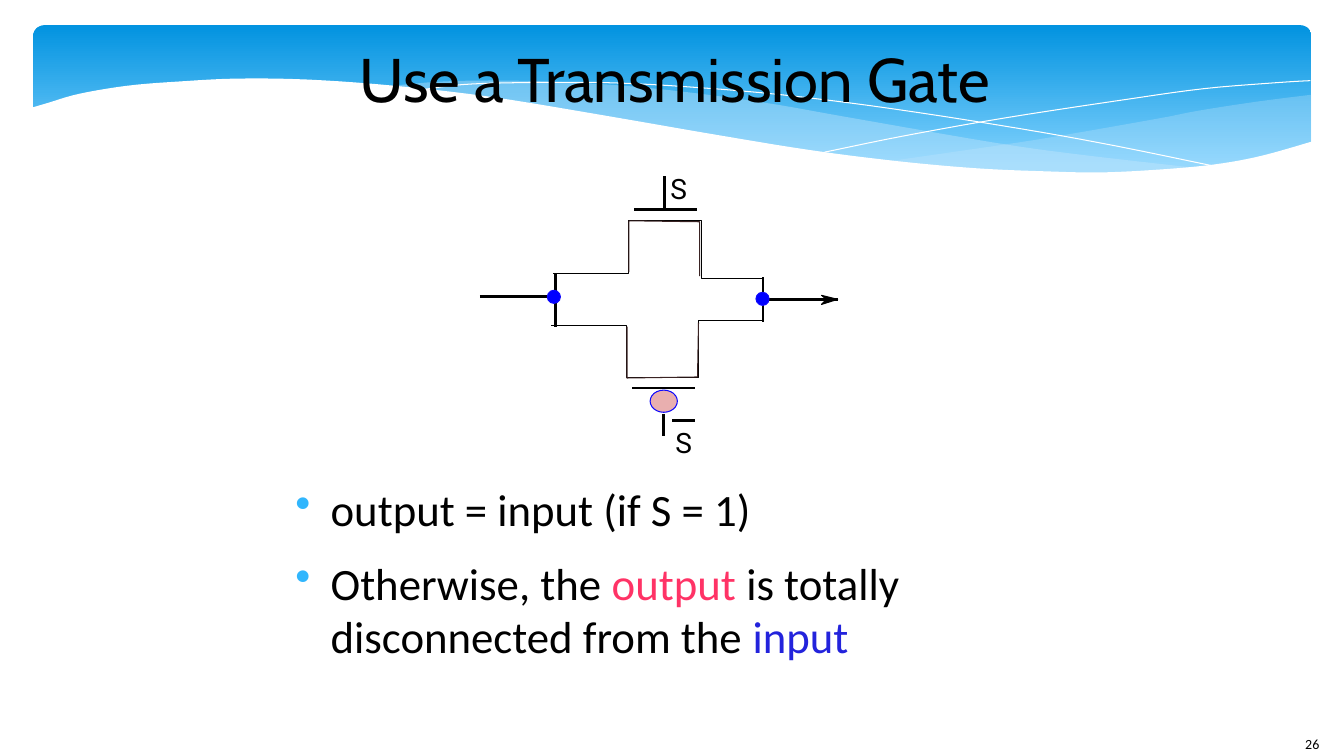
"""Build the transmission gate slide: a wave banner, a circuit and two bullets."""
from dataclasses import dataclass

from lxml import etree
from pptx import Presentation
from pptx.dml.color import RGBColor
from pptx.enum.shapes import MSO_CONNECTOR, MSO_SHAPE
from pptx.enum.text import MSO_ANCHOR, PP_ALIGN
from pptx.oxml.ns import qn
from pptx.util import Emu, Inches, Pt

STRAIGHT = MSO_CONNECTOR.STRAIGHT
OVAL, ROUNDED = MSO_SHAPE.OVAL, MSO_SHAPE.ROUNDED_RECTANGLE
CENTER, MIDDLE = PP_ALIGN.CENTER, MSO_ANCHOR.MIDDLE
TITLE_ONLY = 5
CELL = Inches(0.1)
COLUMNS, ROWS = 133.33, 75
STEPS = 5

COLORS = {
    "black": "000000", "white": "FFFFFF", "sky": "0293E0", "pale sky": "83D3FE",
    "mist": "C6E7FC", "dot": "0000FF", "outline": "0E08FD", "bubble": "E9AFAF",
    "channel": "3A2323", "bullet": "31B6FD", "output": "FF3366", "input": "2323DC",
}
FORMATS = {
    "title": {"name": "Cabin", "size": Pt(44), "bold": False},
    "body": {"name": "Calibri", "size": Pt(32)},
    "number": {"name": "Calibri", "size": Pt(10)},
    "signal": {"name": "Roboto", "size": Pt(20)},
}
NO_MARGINS = {"margin_left": 0, "margin_top": 0, "margin_right": 0, "margin_bottom": 0}

Points = list[tuple[float, float]]


@dataclass
class Outline:
    """An open or closed run of grid points."""
    points: Points
    fill: str | None = None
    line: str | None = None
    alpha: int = 100


@dataclass
class Dot:
    """An oval on the grid."""
    box: tuple[float, float, float, float]
    fill: str


@dataclass
class Label:
    """One line of text on the grid."""
    box: tuple[float, float, float, float]
    text: str
    style: str
    margins: dict


def smooth(knots: Points) -> Points:
    """Return a Catmull-Rom curve through the knots."""
    ends = [knots[0], *knots, knots[-1]]
    curve = [knots[0]]
    for a, b, c, d in zip(ends, ends[1:], ends[2:], ends[3:]):
        for step in range(1, STEPS + 1):
            t = step / STEPS
            curve.append(tuple(
                (2 * q + (r - p) * t + (2 * p - 5 * q + 4 * r - s) * t ** 2
                 + (3 * q - p - 3 * r + s) * t ** 3) / 2
                for p, q, r, s in zip(a, b, c, d)))
    return curve


WAVES = [
    Outline(smooth([(130.1, 9.4), (124.6, 10.1), (118.8, 11), (114.7, 11.8), (103.8, 13.7),
                    (97.2, 14.7), (88.2, 16)])
            + smooth([(88.2, 16), (95.8, 16.7), (102.5, 17.1), (108.5, 17.2), (113.8, 17),
                      (118.6, 16.6), (122.8, 16), (126.6, 15.2), (130.1, 14.2)]),
            fill="mist", alpha=29),
    Outline(smooth([(119, 16.7), (107.6, 15.4), (98.9, 14.2), (83.9, 11.6), (75.9, 10.2),
                    (66.9, 9), (58.9, 8.3), (50.6, 8), (43.7, 8.1), (38.2, 8.6)])
            + smooth([(38.2, 8.6), (45.6, 9.4), (53.9, 10.6), (65.4, 12.6), (75.5, 14.3),
                      (84.6, 15.6), (92.6, 16.5), (99.8, 17), (107.6, 17.3), (113.1, 17.2),
                      (119, 16.7)]),
            fill="mist", alpha=40),
    Outline(smooth([(41.2, 9), (45.8, 8.4), (51.6, 8.2), (60, 8.2), (68, 8.6), (77.5, 9.4),
                    (88.6, 10.8), (101.4, 12.8), (110.8, 14.5), (121, 16.6)]), line="white"),
    Outline(smooth([(81.8, 15.1), (89.6, 13.5), (99.7, 11.7), (111.5, 9.9), (119.4, 8.8),
                    (126.7, 8.2), (130, 8)]), line="white"),
    Outline(smooth([(3.1, 10.7), (4.8, 10.2), (7.9, 9.3), (12.7, 8.5), (17.6, 8.1),
                    (23.5, 7.8), (30.6, 7.9), (39, 8.5), (48.6, 9.6), (59.6, 11.4),
                    (70.6, 13.3), (80.4, 14.9), (89.1, 16), (96.9, 16.7), (103.7, 17),
                    (109.7, 17.1), (116.7, 16.7), (121.3, 16.2), (125.4, 15.4),
                    (130.3, 14)]) + [(130.3, 22.4), (3.1, 22.4)], fill="white"),
]
TRANSISTORS = [
    Outline([(75.6, 27.6), (69.6, 27.6), (69.6, 21.9), (62.4, 21.9), (62.4, 27.1),
             (54.9, 27.1)], line="black"),
    Outline([(75.8, 31.8), (69.3, 31.8), (69.3, 37.5), (62.2, 37.5), (62.2, 32.3),
             (54.7, 32.3)], line="black"),
    Outline([(82, 29.7), (81.5, 30.2), (83.1, 29.7), (81.5, 29.3)],
            fill="black", line="black"),
]
CHANNELS = [
    Outline([(62.4, 27), (62.4, 21.9), (69.4, 22), (69.4, 27.4)], line="channel"),
    Outline([(62.2, 32.4), (62.2, 37.5), (69.2, 37.4), (69.3, 32)], line="channel"),
]
WIRES = [
    ((75.7, 27.5), (75.7, 31.9)), ((75.8, 29.7), (83.1, 29.7)),
    ((55.1, 27.1), (55.1, 32.4)), ((69.1, 20.8), (62.9, 20.8)),
    ((68.9, 38.5), (62.7, 38.5)), ((65.9, 20.6), (65.9, 17.5)),
    ((65.8, 41.1), (65.8, 43.3)), ((66.7, 41.7), (68.9, 41.7)),
    ((47.6, 29.4), (54.9, 29.4)),
]
DOTS = [
    Dot((64.5, 38.7, 2.7, 2.2), "bubble"),
    Dot((54.3, 28.8, 1.3, 1.3), "dot"),
    Dot((75, 29, 1.3, 1.3), "dot"),
]
LABELS = [
    Label((66.5, 17, 1.3, 3.4), "S", "signal", NO_MARGINS),
    Label((67, 42.2, 1.3, 3.4), "S", "signal", NO_MARGINS),
    Label((128.5, 72.5, 4.8, 2.5), "26", "number", {}),
]
BULLETS = [
    [("output = input (if S = 1)", "black")],
    [("Otherwise, the ", "black"), ("output", "output"),
     (" is totally disconnected from the ", "black"), ("input", "input")],
]


def grid(*cells: float) -> list[Emu]:
    """Turn grid cells into lengths."""
    return [Emu(round(cell * CELL)) for cell in cells]


def color(name: str) -> RGBColor:
    """Look up a colour."""
    return RGBColor.from_string(COLORS[name])


def apply(target, values: dict) -> None:
    """Set each named attribute."""
    for name, value in values.items():
        setattr(target, name, value)


def add_span(para, text: str, style: str, ink: str = "black") -> None:
    """Add a formatted run."""
    span = para.add_run()
    span.text = text
    apply(span.font, FORMATS[style])
    span.font.color.rgb = color(ink)


def paint(shape, fill: str | None, line: str | None) -> None:
    """Give a shape its fill and hairline."""
    shape.shadow.inherit = False
    if fill:
        shape.fill.solid()
        shape.fill.fore_color.rgb = color(fill)
    else:
        shape.fill.background()
    if line:
        shape.line.color.rgb = color(line)
        shape.line.width = 0
    else:
        shape.line.fill.background()


def draw_banner(page) -> None:
    """Draw the gradient panel behind the title."""
    panel = page.shapes.add_shape(ROUNDED, *grid(3.3, 2.5, 126.8, 15.6))
    paint(panel, None, None)
    panel.adjustments[0] = 0.07
    panel.fill.gradient()
    panel.fill.gradient_angle = 270
    for stop, name, place in zip(panel.fill.gradient_stops, ("sky", "pale sky"), (0, 0.9)):
        stop.color.rgb = color(name)
        stop.position = place


def draw_outline(page, outline: Outline) -> None:
    """Draw a freeform, closed when it is filled."""
    start, *rest = [grid(*point) for point in outline.points]
    builder = page.shapes.build_freeform(*start, scale=1.0)
    builder.add_line_segments(rest, close=outline.fill is not None)
    shape = builder.convert_to_shape()
    paint(shape, outline.fill, outline.line)
    if outline.alpha < 100:
        tint = shape._element.spPr.find(qn("a:solidFill"))[0]
        etree.SubElement(tint, qn("a:alpha"), val=str(outline.alpha * 1000))


def draw_wire(page, start: tuple, end: tuple) -> None:
    """Draw a straight hairline."""
    wire = page.shapes.add_connector(STRAIGHT, *grid(*start, *end))
    wire.line.color.rgb = color("black")
    wire.line.width = 0
    etree.SubElement(wire._element.spPr, qn("a:effectLst"))


def draw_dot(page, dot: Dot) -> None:
    """Draw an oval."""
    paint(page.shapes.add_shape(OVAL, *grid(*dot.box)), dot.fill, "outline")


def draw_label(page, label: Label) -> None:
    """Draw a line of text."""
    frame = page.shapes.add_textbox(*grid(*label.box)).text_frame
    apply(frame, {"word_wrap": False, **label.margins})
    add_span(frame.paragraphs[0], label.text, label.style)


def draw_title(page) -> None:
    """Place the title in front of the banner."""
    title = page.shapes.title
    apply(title, dict(zip(("left", "top", "width", "height"), grid(26.4, 2.6, 81.1, 10.2))))
    apply(title.text_frame, {"vertical_anchor": MIDDLE, **NO_MARGINS})
    para = title.text_frame.paragraphs[0]
    para.alignment = CENTER
    add_span(para, "Use a Transmission Gate", "title")
    page.shapes._spTree.append(title._element)


def draw_bullets(page) -> None:
    """Write the bulleted text."""
    frame = page.shapes.add_textbox(*grid(28.1, 47.8, 84.5, 19)).text_frame
    apply(frame, {"word_wrap": True, **NO_MARGINS})
    for index, spans in enumerate(BULLETS):
        para = frame.add_paragraph() if index else frame.paragraphs[0]
        para.space_after = Pt(14.1)
        props = para._p.get_or_add_pPr()
        props.set("marL", str(Inches(0.47)))
        props.set("indent", str(-Inches(0.35)))
        tint = etree.SubElement(props, qn("a:buClr"))
        etree.SubElement(tint, qn("a:srgbClr"), val=COLORS["bullet"])
        etree.SubElement(props, qn("a:buChar"), char="•")
        for text, ink in spans:
            add_span(para, text, "body", ink)


def main() -> None:
    """Build and save the deck."""
    deck = Presentation()
    deck.slide_width, deck.slide_height = grid(COLUMNS, ROWS)
    page = deck.slides.add_slide(deck.slide_layouts[TITLE_ONLY])
    draw_banner(page)
    for wave in WAVES:
        draw_outline(page, wave)
    draw_title(page)
    draw_bullets(page)
    for transistor in TRANSISTORS:
        draw_outline(page, transistor)
    for start, end in WIRES:
        draw_wire(page, start, end)
    for dot in DOTS:
        draw_dot(page, dot)
    for channel in CHANNELS:
        draw_outline(page, channel)
    for label in LABELS:
        draw_label(page, label)
    deck.save("out.pptx")


if __name__ == "__main__":
    main()
